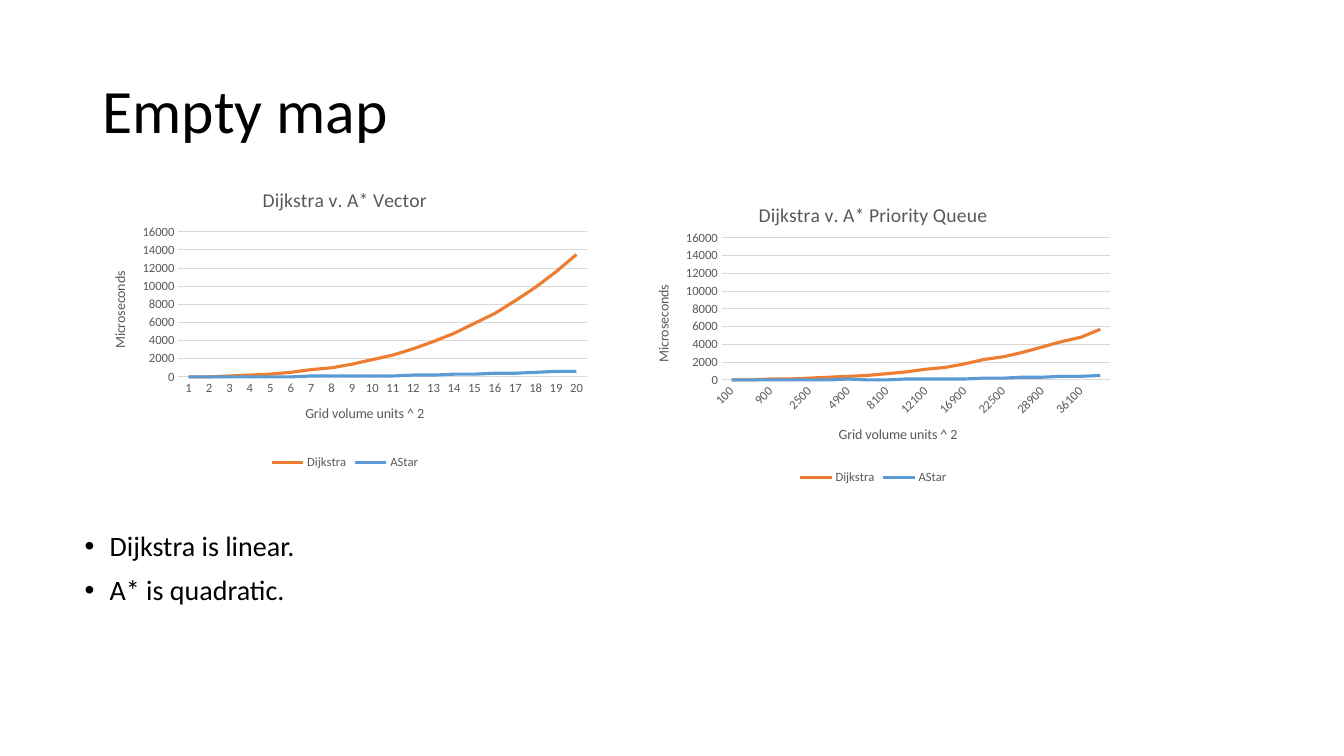
from lxml import etree
from pptx import Presentation
from pptx.chart.data import CategoryChartData
from pptx.dml.color import RGBColor
from pptx.enum import chart as kinds, text
from pptx.oxml import parse_xml
from pptx.oxml.ns import nsdecls, qn
from pptx.util import Inches, Pt

FONT = "Calibri"
BLACK = RGBColor(0x00, 0x00, 0x00)
GRAY = RGBColor(0x59, 0x59, 0x59)
GRID = RGBColor(0xD9, 0xD9, 0xD9)
ORANGE = RGBColor(0xED, 0x7D, 0x31)
BLUE = RGBColor(0x5B, 0x9B, 0xD5)

SIDES = range(1, 21)
VECTOR = {
    "title": "Dijkstra v. A* Vector",
    "categories": [str(side) for side in SIDES],
    "Dijkstra": [0, 0, 100, 200, 300, 500, 800, 1000, 1400, 1900,
                 2400, 3100, 3900, 4800, 5900, 7000, 8400, 9900, 11600, 13500],
    "AStar": [0, 0, 0, 0, 0, 0, 100, 100, 100, 100,
              100, 200, 200, 300, 300, 400, 400, 500, 600, 600],
    "plot": (0.17, 0.2, 0.81, 0.48),
    "slanted": False,
}
QUEUE = {
    "title": "Dijkstra v. A* Priority Queue",
    "categories": [str((10 * side) ** 2) for side in SIDES],
    "Dijkstra": [0, 0, 100, 100, 200, 300, 400, 500, 700, 900,
                 1200, 1400, 1800, 2300, 2600, 3100, 3700, 4300, 4800, 5700],
    "AStar": [0, 0, 0, 0, 0, 0, 100, 0, 0, 100,
              100, 100, 100, 200, 200, 300, 300, 400, 400, 500],
    "plot": (0.2, 0.17, 0.77, 0.47),
    "slanted": True,
}


def set_font(font, size, color):
    for name, value in {"name": FONT, "size": Pt(size), "bold": False}.items():
        setattr(font, name, value)
    font.color.rgb = color


def set_line(line, color, width):
    line.color.rgb = color
    line.width = Pt(width)


def add_text(page, box, lines, size, anchor):
    """Add a wrapped text box with one paragraph per line."""
    frame = page.shapes.add_textbox(*map(Inches, box)).text_frame
    frame.word_wrap = True
    frame.vertical_anchor = anchor
    for index, line in enumerate(lines):
        para = frame.paragraphs[0] if index == 0 else frame.add_paragraph()
        para.line_spacing = 0.9
        span = para.add_run()
        span.text = line
        set_font(span.font, size, BLACK)
    return frame


def add_bullets(page, box, lines):
    frame = add_text(page, box, lines, 20, text.MSO_ANCHOR.TOP)
    for para in frame.paragraphs:
        para.space_before = Pt(10)
        props = para._p.get_or_add_pPr()
        props.set("marL", str(Inches(0.25)))
        props.set("indent", str(-Inches(0.25)))
        etree.SubElement(props, qn("a:buFont")).set("typeface", "Arial")
        etree.SubElement(props, qn("a:buChar")).set("char", "•")


def set_title(owner, words, size):
    frame = (owner.chart_title if hasattr(owner, "chart_title") else owner.axis_title).text_frame
    frame.text = words
    set_font(frame.paragraphs[0].runs[0].font, size, GRAY)


def place_plot(chart, fractions):
    """Fix the inner plot area as fractions of the chart."""
    sizes = "".join(f'<c:{tag} val="{value}"/>' for tag, value in zip("xywh", fractions))
    layout = parse_xml(
        f'<c:layout {nsdecls("c")}><c:manualLayout><c:layoutTarget val="inner"/>'
        f'<c:xMode val="edge"/><c:yMode val="edge"/>{sizes}</c:manualLayout></c:layout>')
    area = chart._chartSpace.chart.plotArea
    for old in area.findall(qn("c:layout")):
        area.remove(old)
    area.insert(0, layout)


def slant_labels(axis):
    """Turn the labels by 45 degrees and show every second one."""
    axis.tick_labels.font._element.getparent().getparent().getparent()
    axis._element.find(qn("c:txPr")).find(qn("a:bodyPr")).set("rot", "-2700000")
    skip = parse_xml(f'<c:tickLblSkip {nsdecls("c")} val="2"/>')
    axis._element.find(qn("c:noMultiLvlLbl")).addprevious(skip)


def add_timing_chart(page, box, timing):
    data = CategoryChartData()
    data.categories = timing["categories"]
    for name in ("Dijkstra", "AStar"):
        data.add_series(name, timing[name])
    chart = page.shapes.add_chart(kinds.XL_CHART_TYPE.LINE, *map(Inches, box), data).chart
    set_font(chart.font, 10, BLACK)
    set_title(chart, timing["title"], 14)
    chart.chart_title.include_in_layout = False
    place_plot(chart, timing["plot"])

    # Legend
    chart.has_legend = True
    chart.legend.position = kinds.XL_LEGEND_POSITION.BOTTOM
    chart.legend.include_in_layout = False
    set_font(chart.legend.font, 9, GRAY)

    # Axes
    across, up = chart.category_axis, chart.value_axis
    for axis, words in ((across, "Grid volume units ^ 2"), (up, "Microseconds")):
        set_title(axis, words, 10)
        set_font(axis.tick_labels.font, 9, GRAY)
        axis.major_tick_mark = axis.minor_tick_mark = kinds.XL_TICK_MARK.NONE
    set_line(across.format.line, GRID, 0.75)
    if timing["slanted"]:
        slant_labels(across)
    for name, value in {"minimum_scale": 0, "maximum_scale": 16000, "major_unit": 2000}.items():
        setattr(up, name, value)
    up.format.line.fill.background()
    set_line(up.major_gridlines.format.line, GRID, 0.75)

    # Lines
    chart.plots[0].vary_by_categories = False
    for series, color in zip(chart.plots[0].series, (ORANGE, BLUE)):
        series.smooth = False
        series.marker.style = kinds.XL_MARKER_STYLE.NONE
        set_line(series.format.line, color, 2.25)


def main():
    deck = Presentation()
    deck.slide_width, deck.slide_height = Inches(13.33), Inches(7.5)
    page = deck.slides.add_slide(deck.slide_layouts[6])
    add_bullets(page, (0.74, 5.23, 11.5, 2), ["Dijkstra is linear.", "A* is quadratic."])
    add_timing_chart(page, (0.92, 1.7, 5, 3), VECTOR)
    add_timing_chart(page, (6.16, 1.85, 5, 3), QUEUE)
    add_text(page, (0.92, 0.4, 11.5, 1.45), ["Empty map"], 44, text.MSO_ANCHOR.MIDDLE)
    deck.save("out.pptx")


if __name__ == "__main__":
    main()
